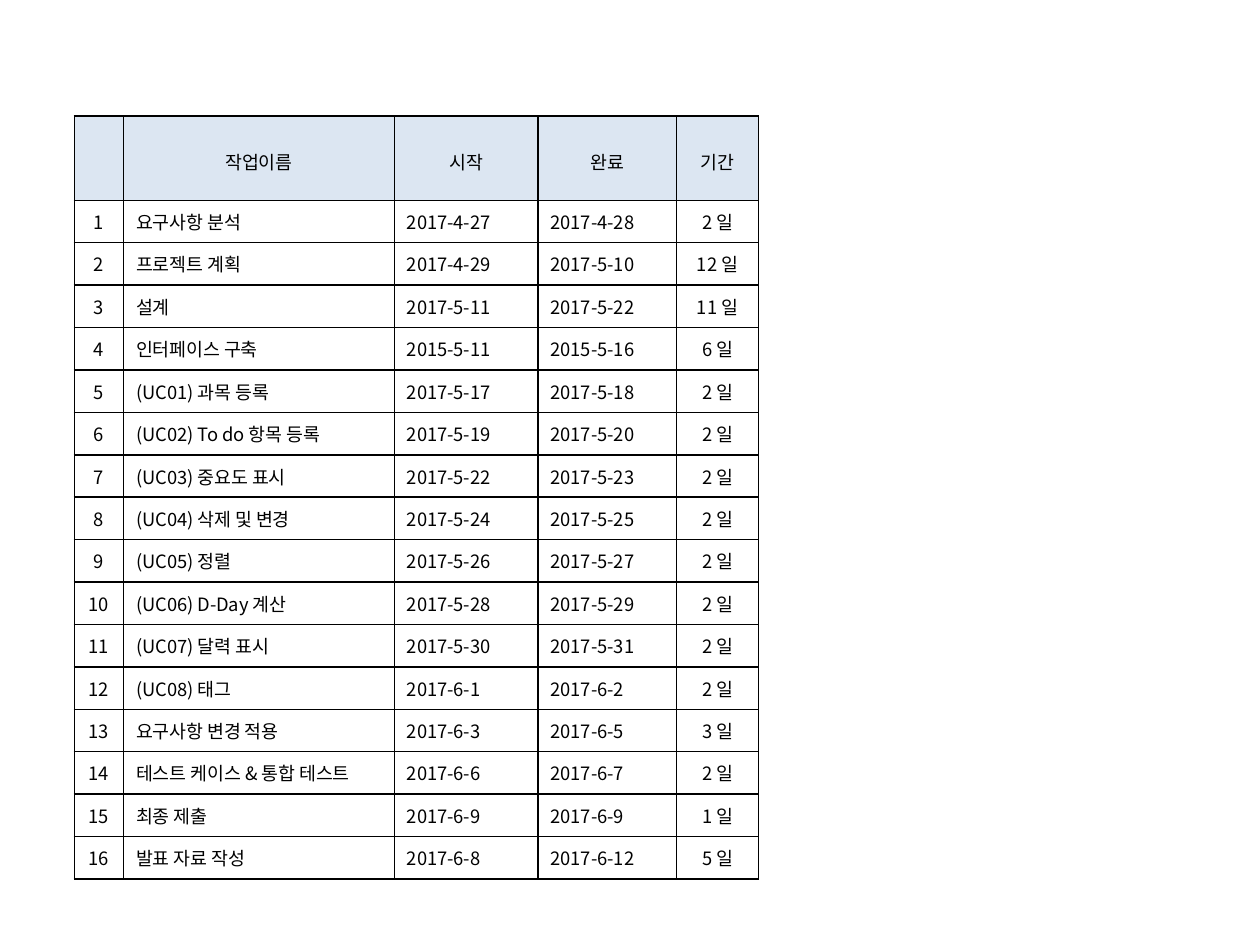
import pptx
import pptx.util
import pptx.dml.color
import pptx.enum.text
import pptx.oxml.ns
from lxml import etree

Inches, Pt = pptx.util.Inches, pptx.util.Pt
RGBColor = pptx.dml.color.RGBColor
ALIGN = pptx.enum.text.PP_ALIGN
ANCHOR = pptx.enum.text.MSO_ANCHOR
qn = pptx.oxml.ns.qn

BLACK = RGBColor(0x00, 0x00, 0x00)
WHITE = RGBColor(0xFF, 0xFF, 0xFF)
PALE = RGBColor(0xDC, 0xE6, 0xF2)
FONT = "Noto Sans CJK KR"

HEADS = ["", "작업이름", "시작", "완료", "기간"]
WIDTHS = [0.39, 2.15, 1.14, 1.1, 0.65]
HEAD_HIGH = 0.67
# Task, start, finish, days
TASKS = [
    ("요구사항 분석", "2017-4-27", "2017-4-28", 2),
    ("프로젝트 계획", "2017-4-29", "2017-5-10", 12),
    ("설계", "2017-5-11", "2017-5-22", 11),
    ("인터페이스 구축", "2015-5-11", "2015-5-16", 6),
    ("(UC01) 과목 등록", "2017-5-17", "2017-5-18", 2),
    ("(UC02) To do 항목 등록", "2017-5-19", "2017-5-20", 2),
    ("(UC03) 중요도 표시", "2017-5-22", "2017-5-23", 2),
    ("(UC04) 삭제 및 변경", "2017-5-24", "2017-5-25", 2),
    ("(UC05) 정렬", "2017-5-26", "2017-5-27", 2),
    ("(UC06) D-Day 계산", "2017-5-28", "2017-5-29", 2),
    ("(UC07) 달력 표시", "2017-5-30", "2017-5-31", 2),
    ("(UC08) 태그", "2017-6-1", "2017-6-2", 2),
    ("요구사항 변경 적용", "2017-6-3", "2017-6-5", 3),
    ("테스트 케이스 & 통합 테스트", "2017-6-6", "2017-6-7", 2),
    ("최종 제출", "2017-6-9", "2017-6-9", 1),
    ("발표 자료 작성", "2017-6-8", "2017-6-12", 5),
]


def set_borders(cell):
    props = cell._tc.get_or_add_tcPr()
    for place, side in enumerate(("a:lnL", "a:lnR", "a:lnT", "a:lnB")):
        line = etree.Element(qn(side), w=str(Pt(1)))
        fill = etree.SubElement(line, qn("a:solidFill"))
        etree.SubElement(fill, qn("a:srgbClr"), val=str(BLACK))
        props.insert(place, line)


def set_cell(cell, text, fill, align):
    cell.fill.solid()
    cell.fill.fore_color.rgb = fill
    cell.vertical_anchor = ANCHOR.MIDDLE
    cell.text_frame.text = text
    para = cell.text_frame.paragraphs[0]
    para.alignment = align
    para.font.size = Pt(10.5)
    for run in para.runs:
        run.font.size = Pt(10.5)
        run.font.name = FONT
        run.font.color.rgb = BLACK
        etree.SubElement(run.font._element, qn("a:ea"), typeface=FONT)
    set_borders(cell)


def add_plan(slide, left, top, width, height):
    frame = slide.shapes.add_table(len(TASKS) + 1, len(HEADS), Inches(left),
                                   Inches(top), Inches(width), Inches(height))
    table = frame.table
    for col, wide in zip(table.columns, WIDTHS):
        col.width = Inches(wide)
    for row in table.rows:
        row.height = Inches((height - HEAD_HIGH) / len(TASKS))
    table.rows[0].height = Inches(HEAD_HIGH)

    # Header row, text set low
    for col, head in enumerate(HEADS):
        cell = table.cell(0, col)
        set_cell(cell, head, PALE, ALIGN.CENTER)
        cell.vertical_anchor = ANCHOR.TOP
        cell.margin_top = Inches(0.26)

    # Task rows, outer columns centred
    for num, (name, start, end, days) in enumerate(TASKS, 1):
        for col, text in enumerate((str(num), name, start, end, f"{days} 일")):
            align = ALIGN.CENTER if col in (0, 4) else ALIGN.LEFT
            set_cell(table.cell(num, col), text, WHITE, align)


deck = pptx.Presentation()
deck.slide_width, deck.slide_height = Inches(10), Inches(7.5)
slide = deck.slides.add_slide(deck.slide_layouts[6])
add_plan(slide, 0.59, 0.92, sum(WIDTHS), 6.06)
deck.save("out.pptx")
